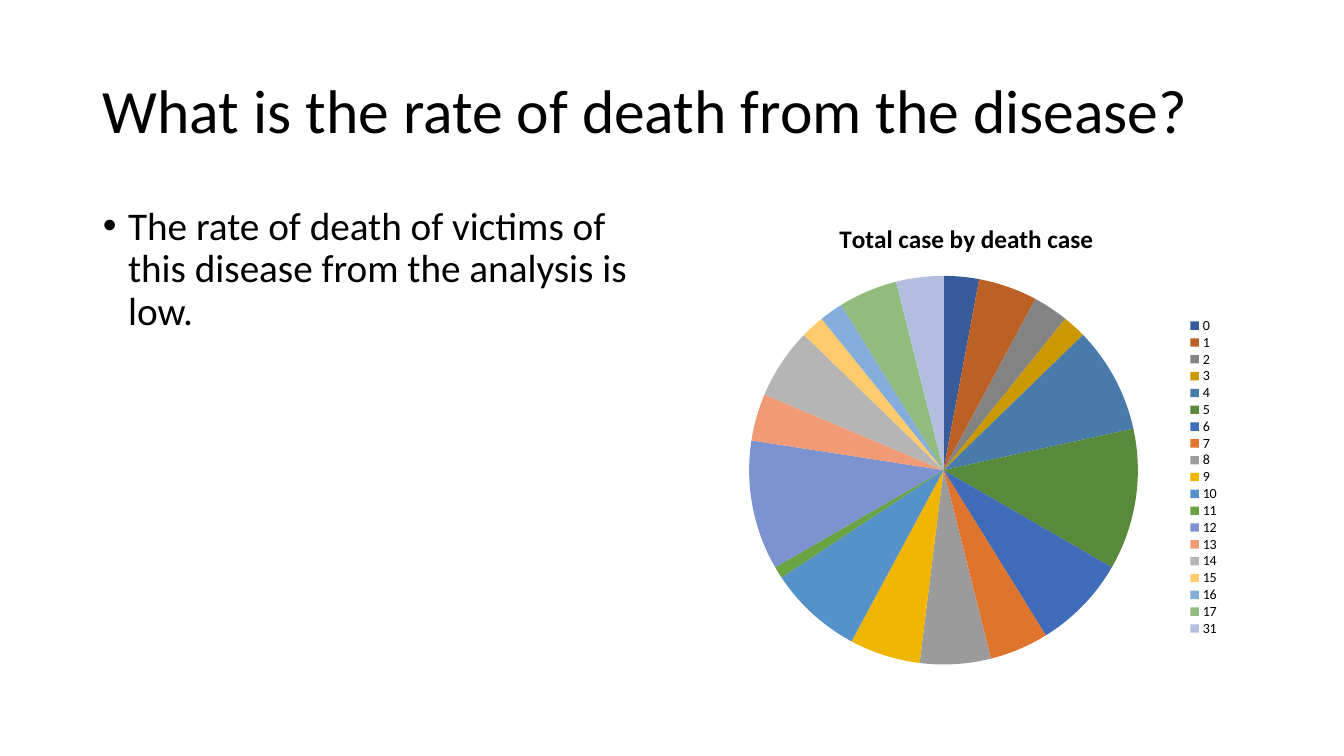
from dataclasses import dataclass

from lxml import etree
from pptx import Presentation
from pptx.chart.data import CategoryChartData
from pptx.dml.color import RGBColor
from pptx.enum.chart import XL_CHART_TYPE, XL_LEGEND_POSITION
from pptx.enum.text import MSO_ANCHOR, MSO_AUTO_SIZE, PP_ALIGN
from pptx.oxml.ns import qn
from pptx.util import Inches, Pt

PIE = XL_CHART_TYPE.PIE
LEGEND_RIGHT = XL_LEGEND_POSITION.RIGHT
MIDDLE, TOP = MSO_ANCHOR.MIDDLE, MSO_ANCHOR.TOP
NO_AUTOFIT = MSO_AUTO_SIZE.NONE
LEFT = PP_ALIGN.LEFT

TITLE = "What is the rate of death from the disease?"
FINDING = "The rate of death of victims of this disease from the analysis is low."
CHART_TITLE = "Total case by death case"
DEATH_CASES = [str(count) for count in range(18)] + ["31"]
TOTAL_CASES = [3, 5, 3, 2, 9, 12, 8, 5, 6, 6, 8, 1, 11, 4, 6, 2, 2, 5, 4]

# left, top, width, height in inches
TITLE_BOX = (0.92, 0.4, 11.5, 1.45)
FINDING_BOX = (0.92, 2, 5.67, 4.76)
CHART_BOX = (6.75, 2, 5.67, 4.76)
# shares of the chart's width and height
PIE_AREA = {"x": 0.12, "y": 0.15, "w": 0.68, "h": 0.82}
LEGEND_AREA = {"x": 0.88, "y": 0.24, "w": 0.07, "h": 0.67}


@dataclass(frozen=True)
class Theme:
    font: str = "Calibri"
    text: str = "000000"
    title_size: int = 44
    body_size: int = 28
    chart_title_size: int = 18
    legend_size: int = 10
    slices: tuple = (
        "375A9B", "BC6126", "838383", "CA9800", "487BA9", "59893A",
        "406BB9", "DF752D", "9B9B9B", "F0B500", "5592C9", "69A342",
        "7C93CF", "F19A76", "B5B5B5", "FFCB6C", "85ADDB", "92BC7D",
        "B4BFE0",
    )


THEME = Theme()


def style_font(font, size, bold=False):
    font.name = THEME.font
    font.size = Pt(size)
    font.bold = bold
    font.color.rgb = RGBColor.from_string(THEME.text)


def fill_placeholder(placeholder, text, box, size, anchor):
    placeholder.left, placeholder.top, placeholder.width, placeholder.height = map(Inches, box)
    frame = placeholder.text_frame
    frame.text = text
    frame.word_wrap = True
    frame.auto_size = NO_AUTOFIT
    frame.vertical_anchor = anchor
    paragraph = frame.paragraphs[0]
    paragraph.alignment = LEFT
    paragraph.line_spacing = 0.9
    style_font(paragraph.font, size)
    return paragraph


def add_bullet(paragraph):
    properties = paragraph._p.get_or_add_pPr()
    properties.set("marL", str(Inches(0.25)))
    properties.set("indent", str(Inches(-0.25)))
    # Bullet elements have to precede the paragraph's default run properties
    run_defaults = properties.find(qn("a:defRPr"))
    etree.SubElement(properties, qn("a:buFont")).set("typeface", "Arial")
    etree.SubElement(properties, qn("a:buChar")).set("char", "•")
    properties.append(run_defaults)


def fix_layout(part, position, settings):
    """Give a chart part a manual layout as its child at the given position."""
    for automatic in part.findall(qn("c:layout")):
        part.remove(automatic)
    layout = etree.Element(qn("c:layout"))
    manual = etree.SubElement(layout, qn("c:manualLayout"))
    for tag, value in settings.items():
        etree.SubElement(manual, qn(f"c:{tag}")).set("val", str(value))
    part.insert(position, layout)


def add_case_chart(slide):
    cases = CategoryChartData()
    cases.categories = DEATH_CASES
    cases.add_series("Series 1", TOTAL_CASES)
    chart = slide.shapes.add_chart(PIE, *map(Inches, CHART_BOX), cases).chart
    style_font(chart.font, THEME.legend_size)

    chart.has_title = True
    chart.chart_title.include_in_layout = False
    heading = chart.chart_title.text_frame
    heading.text = CHART_TITLE
    style_font(heading.paragraphs[0].font, THEME.chart_title_size, bold=True)

    chart.has_legend = True
    chart.legend.position = LEGEND_RIGHT
    chart.legend.include_in_layout = False
    style_font(chart.legend.font, THEME.legend_size)

    plot = chart.plots[0]
    plot.vary_by_categories = True
    for index, color in enumerate(THEME.slices):
        slice_format = plot.series[0].points[index].format
        slice_format.fill.solid()
        slice_format.fill.fore_color.rgb = RGBColor.from_string(color)
        slice_format.line.fill.background()

    edges = {"xMode": "edge", "yMode": "edge"}
    plot_area = chart._chartSpace.chart.plotArea
    fix_layout(plot_area, 0, {"layoutTarget": "inner", **edges, **PIE_AREA})
    # In a legend the layout follows the position element
    fix_layout(chart.legend._element, 1, {**edges, **LEGEND_AREA})


def main():
    deck = Presentation()
    deck.slide_width, deck.slide_height = Inches(13.33), Inches(7.5)
    slide = deck.slides.add_slide(deck.slide_layouts[1])
    title, body = slide.placeholders
    fill_placeholder(title, TITLE, TITLE_BOX, THEME.title_size, MIDDLE)
    finding = fill_placeholder(body, FINDING, FINDING_BOX, THEME.body_size, TOP)
    finding.space_before = Pt(10)
    add_bullet(finding)
    add_case_chart(slide)
    deck.save("out.pptx")


if __name__ == "__main__":
    main()
